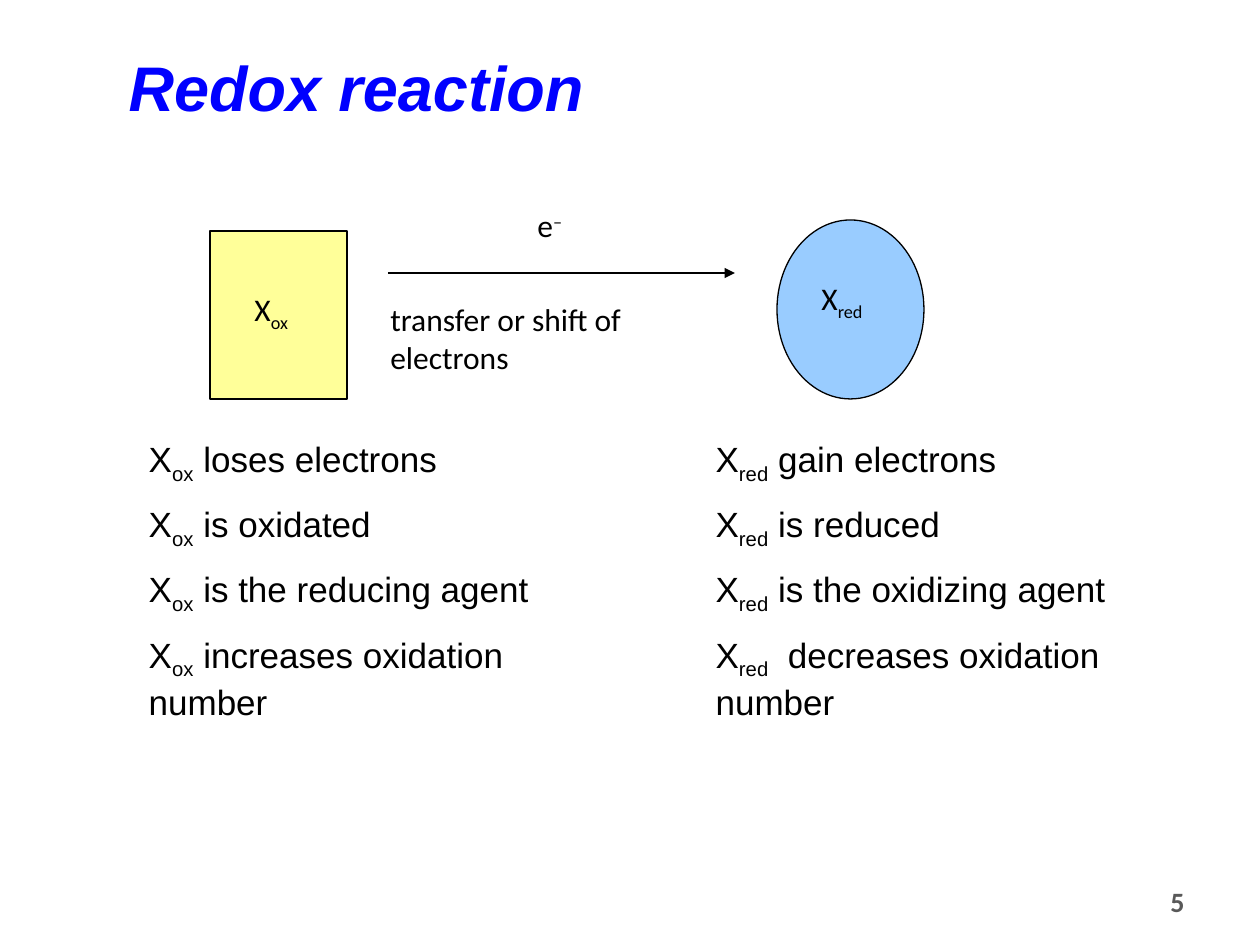
from dataclasses import dataclass

from lxml import etree
from pptx import Presentation
from pptx.dml.color import RGBColor
from pptx.enum.shapes import MSO_CONNECTOR, MSO_SHAPE
from pptx.enum.text import MSO_ANCHOR, MSO_AUTO_SIZE, PP_ALIGN
from pptx.oxml.ns import qn
from pptx.util import Emu, Pt

PX = 914400 // 126
RECTANGLE, OVAL = MSO_SHAPE.RECTANGLE, MSO_SHAPE.OVAL
STRAIGHT = MSO_CONNECTOR.STRAIGHT
TOP, MIDDLE = MSO_ANCHOR.TOP, MSO_ANCHOR.MIDDLE
LEFT, RIGHT = PP_ALIGN.LEFT, PP_ALIGN.RIGHT
NO_AUTOFIT = MSO_AUTO_SIZE.NONE
SUB, SUPER = "-25000", "30000"


@dataclass(frozen=True)
class Theme:
    ink: RGBColor = RGBColor(0, 0, 0)
    title: RGBColor = RGBColor(0x00, 0x00, 0xFF)
    oxidized: RGBColor = RGBColor(0xFF, 0xFF, 0x99)
    reduced: RGBColor = RGBColor(0x99, 0xCC, 0xFF)
    page: RGBColor = RGBColor(0x59, 0x59, 0x59)
    title_size: Pt = Pt(36)
    list_size: Pt = Pt(20)
    label_size: Pt = Pt(18)
    page_size: Pt = Pt(16)
    outline: Pt = Pt(0.75)
    heading_font: str = "Arial"
    label_font: str = "Calibri"


theme = Theme()


def place(item, left, top, width, height):
    item.left, item.top = Emu(left * PX), Emu(top * PX)
    item.width, item.height = Emu(width * PX), Emu(height * PX)


def write(item, lines, size, face, color=theme.ink, align=LEFT, anchor=TOP,
          bold=False, italic=False):
    """Fill a text holder; each line is a list of (text, baseline) pairs."""
    frame = item.text_frame
    frame.word_wrap = True
    frame.auto_size = NO_AUTOFIT
    frame.vertical_anchor = anchor
    for index, line in enumerate(lines):
        paragraph = frame.paragraphs[0] if index == 0 else frame.add_paragraph()
        paragraph.alignment = align
        paragraph.space_before = Pt(10) if index else Pt(0)
        if item.is_placeholder:
            properties = paragraph._p.get_or_add_pPr()
            properties.set("marL", "0")
            properties.set("indent", "0")
            etree.SubElement(properties, qn("a:buNone"))
        font = paragraph.font
        font.size, font.name, font.color.rgb = size, face, color
        font.bold, font.italic = bold, italic
        for text, baseline in line:
            run = paragraph.add_run()
            run.text = text
            if baseline:
                run._r.get_or_add_rPr().set("baseline", baseline)


prs = Presentation()
prs.slide_width, prs.slide_height = Emu(1260 * PX), Emu(945 * PX)
slide = prs.slides.add_slide(prs.slide_layouts[3])
shapes = slide.shapes
title, oxidation_list, reduction_list = slide.placeholders

# Title
place(title, 116, 42, 514, 89)
write(title, [[("Redox reaction", None)]], theme.title_size, theme.heading_font,
      theme.title, bold=True, italic=True)

# What happens to each partner
partners = [
    (oxidation_list, 136, 462, "ox",
     [" loses electrons", " is oxidated", " is the reducing agent",
      " increases oxidation number"]),
    (reduction_list, 703, 504, "red",
     [" gain electrons", " is reduced", " is the oxidizing agent",
      "  decreases oxidation number"]),
]
for facts, left, width, subscript, endings in partners:
    place(facts, left, 431, width, 287)
    write(facts, [[("X", None), (subscript, SUB), (ending, None)] for ending in endings],
          theme.list_size, theme.heading_font)

# Square and circle of the reaction
for kind, bounds, color in [
    (RECTANGLE, (210, 231, 137, 168), theme.oxidized),
    (OVAL, (777, 220, 147, 179), theme.reduced),
]:
    species = shapes.add_shape(kind, *(Emu(value * PX) for value in bounds))
    species.shadow.inherit = False
    species.fill.solid()
    species.fill.fore_color.rgb = color
    species.line.color.rgb = theme.ink
    species.line.width = theme.outline

# Electron transfer arrow
transfer = shapes.add_connector(STRAIGHT, Emu(388 * PX), Emu(273 * PX),
                                Emu(735 * PX), Emu(273 * PX))
transfer.line.color.rgb = theme.ink
transfer.line.width = theme.outline
etree.SubElement(transfer.line._get_or_add_ln(), qn("a:tailEnd"), type="triangle")
etree.SubElement(transfer._element.spPr, qn("a:effectLst"))

# Labels of the diagram
for bounds, parts in [
    ((378, 294, 378, 63), [("transfer or shift of electrons", None)]),
    ((525, 200, 84, 63), [("e", None), ("–", SUPER)]),
    ((242, 284, 95, 63), [("X", None), ("ox", SUB)]),
    ((809, 273, 95, 63), [("X", None), ("red", SUB)]),
]:
    label = shapes.add_textbox(*(Emu(value * PX) for value in bounds))
    write(label, [parts], theme.label_size, theme.label_font)

# Page number
page_number = shapes.add_textbox(Emu(903 * PX), Emu(876 * PX), Emu(294 * PX), Emu(50 * PX))
write(page_number, [[("5", None)]], theme.page_size, theme.label_font, theme.page,
      align=RIGHT, anchor=MIDDLE, bold=True)

prs.save("out.pptx")
